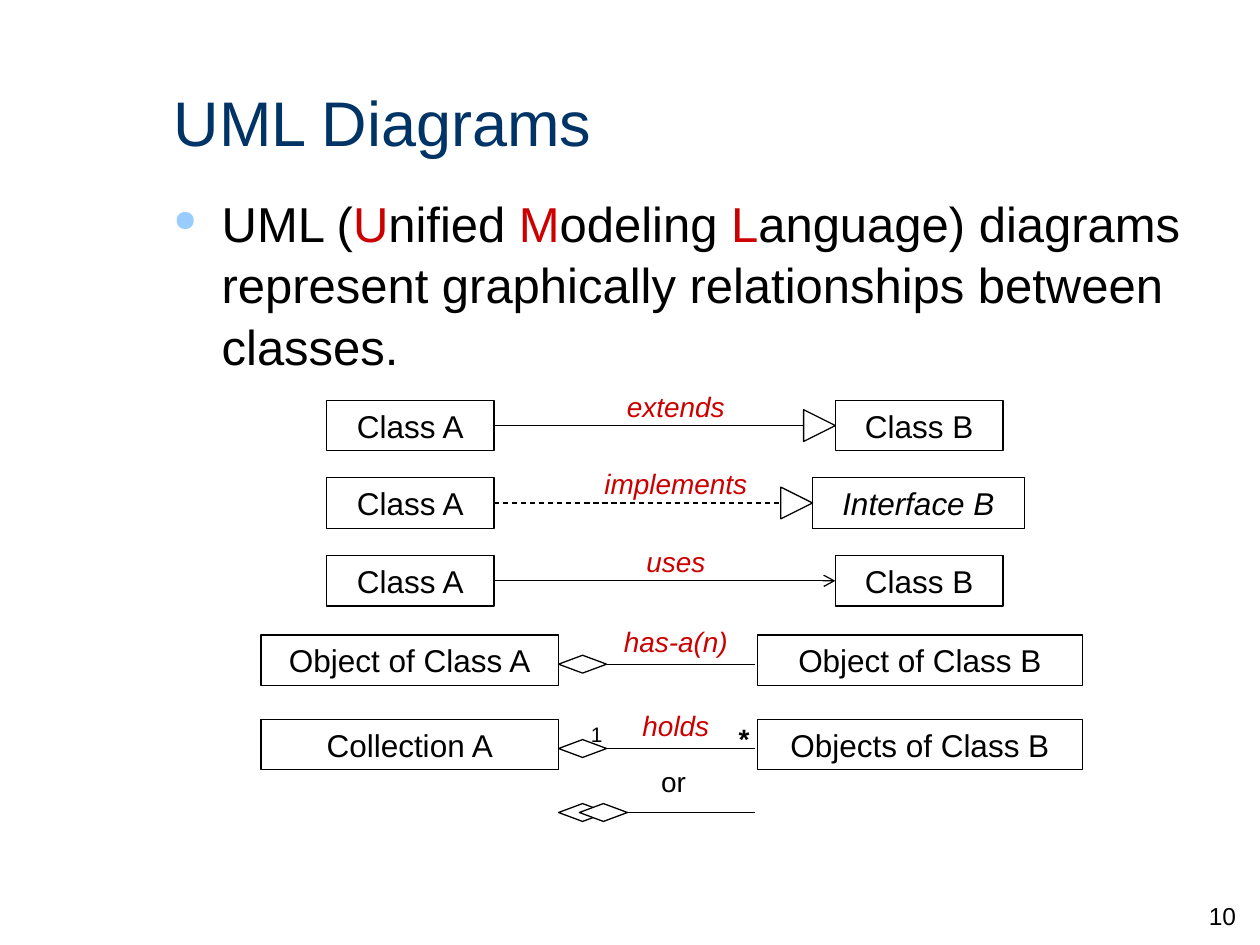
"""Build a slide that explains the arrows of UML class diagrams."""
import pptx
import pptx.util
import pptx.dml.color
import pptx.enum.dml
import pptx.enum.shapes
import pptx.enum.text
import pptx.oxml
import pptx.oxml.ns

Cm, Pt = pptx.util.Cm, pptx.util.Pt
RGBColor = pptx.dml.color.RGBColor
Kind = pptx.enum.shapes.MSO_SHAPE
Side = pptx.enum.text.PP_ALIGN
Anchor = pptx.enum.text.MSO_ANCHOR

BLACK = RGBColor(0, 0, 0)
WHITE = RGBColor(255, 255, 255)
RED = RGBColor(0xCC, 0, 0)
NAVY = RGBColor(0, 0x33, 0x66)

TITLE = "UML Diagrams"
BODY = [("UML (", BLACK), ("U", RED), ("nified ", BLACK), ("M", RED),
        ("odeling ", BLACK), ("L", RED),
        ("anguage) diagrams represent graphically relationships between classes.", BLACK)]
NUMBER = "10"

# top, left name, label, right name, mark
ROWS = [
    (8.07, "Class A", "extends", "Class B", "triangle"),
    (9.63, "Class A", "implements", "Interface B", "dashed"),
    (11.2, "Class A", "uses", "Class B", "arrow"),
    (12.8, "Object of Class A", "has-a(n)", "Object of Class B", "diamond"),
    (14.5, "Collection A", "holds", "Objects of Class B", "diamond"),
]
SMALL = (6.58, 3.38, 16.84, 3.38)
SPANS = {"triangle": SMALL, "arrow": SMALL,
         "dashed": (6.58, 3.38, 16.38, 4.27),
         "diamond": (5.26, 6.0, 15.27, 6.55)}
NOTES = [("or", 12.93, 15.29, 16, False), ("1", 11.38, 14.43, 12, False),
         ("*", 14.35, 14.43, 16, True)]
HIGH = 1.02
TRI = 0.64
GEM = (0.97, 0.36)
GEM_X = 11.26
OR_Y = 16.38
BULLET = ('<a:buClr {ns}><a:srgbClr val="99CCFF"/></a:buClr>',
          '<a:buSzPct {ns} val="60000"/>', '<a:buChar {ns} char="●"/>')

deck = pptx.Presentation()
deck.slide_width, deck.slide_height = Cm(25.4), Cm(19.05)
slide = deck.slides.add_slide(deck.slide_layouts[6])
shapes = slide.shapes


def write(shape, text, size=18, color=BLACK, align=Side.CENTER, anchor=Anchor.TOP,
          bold=False, italic=False, bullet=False):
    frame = shape.text_frame
    frame.word_wrap = True
    frame.vertical_anchor = anchor
    para = frame.paragraphs[0]
    para.alignment = align
    if bullet:
        props = para._p.get_or_add_pPr()
        props.set("marL", str(Cm(0.97)))
        props.set("indent", str(-Cm(0.97)))
        for item in BULLET:
            xml = item.format(ns=pptx.oxml.ns.nsdecls("a"))
            props.append(pptx.oxml.parse_xml(xml))
        para.line_spacing = 1.05
    parts = [(text, color)] if isinstance(text, str) else text
    for words, tint in parts:
        run = para.add_run()
        run.text = words
        font = run.font
        font.name, font.size = "Arial", Pt(size)
        font.bold, font.italic = bold, italic
        font.color.rgb = tint


def label(text, x, y, w, h, **form):
    write(shapes.add_textbox(Cm(x), Cm(y), Cm(w), Cm(h)), text, **form)


def draw(kind, x, y, w, h, fill=WHITE):
    shape = shapes.add_shape(kind, Cm(x), Cm(y), Cm(w), Cm(h))
    shape.shadow.inherit = False
    if fill is None:
        shape.fill.background()
    else:
        shape.fill.solid()
        shape.fill.fore_color.rgb = fill
    shape.line.color.rgb = BLACK
    shape.line.width = Pt(0.75)
    return shape


def box(text, x, y, w):
    shape = draw(Kind.RECTANGLE, x, y, w, HIGH, fill=None)
    write(shape, text, anchor=Anchor.MIDDLE, italic=text.startswith("Interface"))
    return shape


def link(x, end, y):
    line = shapes.add_connector(pptx.enum.shapes.MSO_CONNECTOR.STRAIGHT,
                                Cm(x), Cm(y), Cm(end), Cm(y))
    line.line.color.rgb = BLACK
    line.line.width = Pt(0.75)
    props = line._element.spPr
    props.append(props.makeelement(pptx.oxml.ns.qn("a:effectLst"), {}))
    return line


def gem(x, y):
    draw(Kind.DIAMOND, x, y - GEM[1] / 2, *GEM)


def relate(top, first, name, second, mark):
    x, w, far, wide = SPANS[mark]
    left, right = box(first, x, top, w), box(second, far, top, wide)
    label(name, 11.68, top - 0.34, 3.89, 0.94, size=16, color=RED, italic=True)
    mid = top + HIGH / 2
    if mark == "diamond":
        link(GEM_X + 0.3, far - 0.06, mid + 0.08)
        gem(GEM_X, mid + 0.08)
        return
    line = link(x + w, far if mark == "arrow" else far - TRI / 2, mid)
    line.begin_connect(left, 3)
    if mark == "arrow":
        line.end_connect(right, 1)
        pen = line.line._get_or_add_ln()
        pen.append(pen.makeelement(pptx.oxml.ns.qn("a:tailEnd"), {"type": "arrow"}))
        return
    if mark == "dashed":
        line.line.dash_style = pptx.enum.dml.MSO_LINE.DASH
    tip = draw(Kind.ISOSCELES_TRIANGLE, far - TRI, mid - TRI / 2, TRI, TRI)
    tip.rotation = 90


label(NUMBER, 19.89, 18.03, 5.28, 1.27, size=14, align=Side.RIGHT)
label(TITLE, 3.25, 1.27, 21.59, 2.34, size=36, color=NAVY,
      align=Side.LEFT, anchor=Anchor.MIDDLE)
label(BODY, 3.25, 3.71, 21.59, 4.01, size=28, align=Side.LEFT, bullet=True)
for row in ROWS:
    relate(*row)
link(GEM_X + 0.3, 15.21, OR_Y)
for x in (GEM_X, GEM_X + 0.42):
    gem(x, OR_Y)
for text, x, y, size, bold in NOTES:
    label(text, x, y, 1.3, 0.94, size=size, bold=bold)
deck.save("out.pptx")
